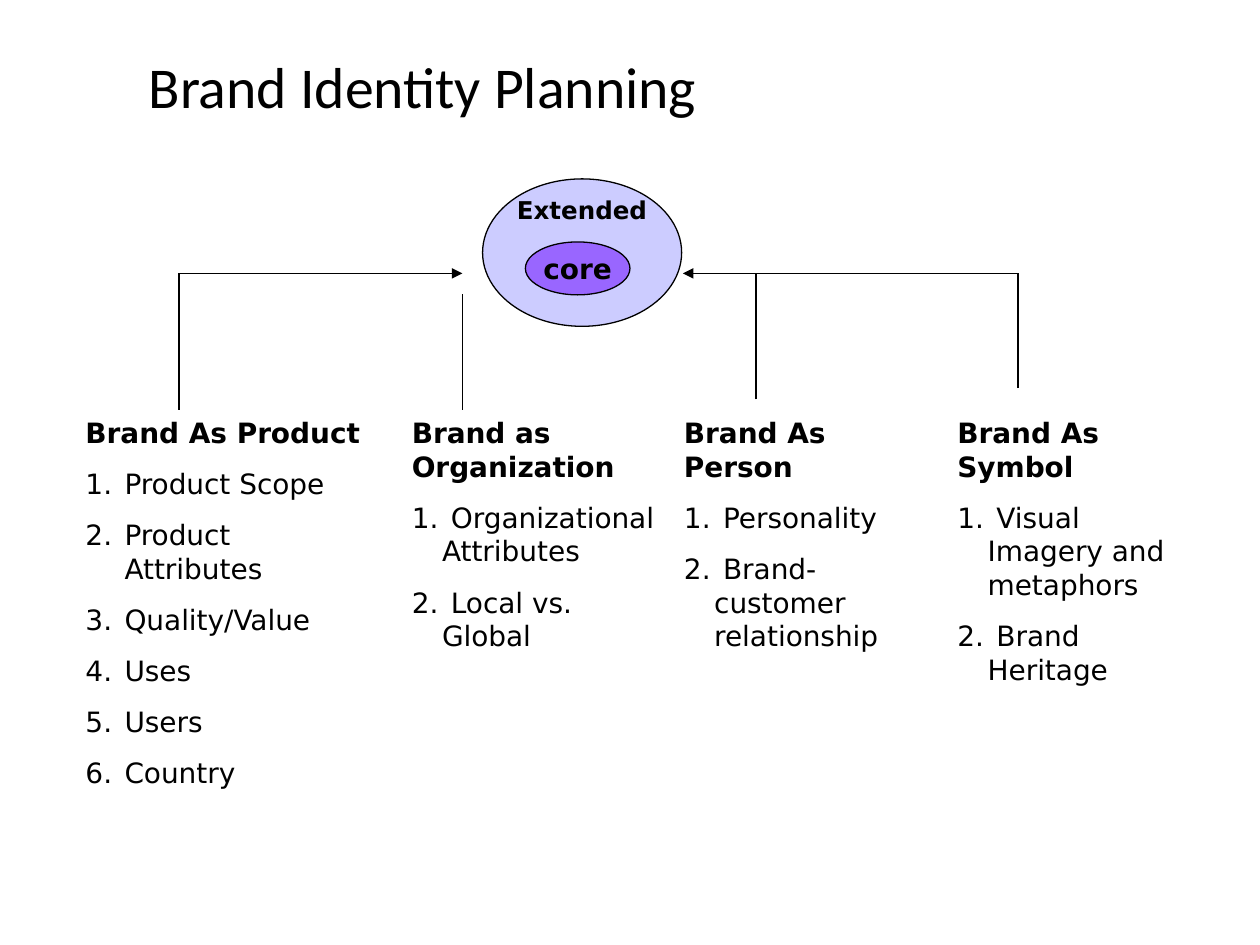
from lxml.etree import SubElement
from pptx import Presentation
from pptx.dml.color import RGBColor
from pptx.enum.shapes import MSO_CONNECTOR, MSO_SHAPE
from pptx.enum.text import MSO_ANCHOR, MSO_AUTO_SIZE, PP_ALIGN
from pptx.oxml.ns import qn
from pptx.util import Inches, Pt

BLACK = RGBColor(0x00, 0x00, 0x00)
LILAC = RGBColor(0xCC, 0xCC, 0xFF)
PURPLE = RGBColor(0x99, 0x66, 0xFF)

TOP = 3.25
BAR = 2.17
# left, width, height, hanging indent, heading, items
COLUMNS = [
    (0.58, 2.42, 3.07, 0.31, "Brand As Product",
     ["Product Scope", "Product Attributes", "Quality/Value",
      "Uses", "Users", "Country"]),
    (3.17, 2.17, 1.71, 0.24, "Brand as Organization",
     [" Organizational Attributes", " Local vs. Global"]),
    (5.33, 1.92, 1.98, 0.24, "Brand As Person",
     [" Personality", " Brand-customer relationship"]),
    (7.5, 1.92, 2.25, 0.24, "Brand As Symbol",
     [" Visual Imagery and metaphors", " Brand Heritage"]),
]
# start, end, arrow at the end
LINES = [
    ((8.08, 3.08), (8.08, BAR), False),
    ((8.08, BAR), (5.42, BAR), True),
    ((6, 3.17), (6, BAR), False),
    ((1.42, TOP), (1.42, BAR), False),
    ((1.42, BAR), (3.67, BAR), True),
    ((3.67, TOP), (3.67, 2.33), False),
]


def write(para, text, size=16, font="DejaVu Sans", bold=False,
          align=PP_ALIGN.LEFT, before=0, spacing=None):
    para.alignment = align
    para.space_before = Pt(before)
    if spacing:
        para.line_spacing = spacing
    run = para.add_run()
    run.text = text
    run.font.size = Pt(size)
    run.font.name = font
    run.font.bold = bold
    run.font.color.rgb = BLACK


def number(para, hang):
    """Turn the paragraph into an auto-numbered item with a hanging indent."""
    props = para._p.get_or_add_pPr()
    props.set("marL", str(Inches(hang)))
    props.set("indent", str(-Inches(hang)))
    SubElement(props, qn("a:buFont"), typeface="+mj-lt")
    SubElement(props, qn("a:buAutoNum"), type="arabicPeriod")


class Deck:
    def __init__(self, slide, stroke=0.75):
        self.slide = slide
        self.stroke = Pt(stroke)

    def title(self, box, text):
        shape = self.slide.shapes.title
        shape.left, shape.top, shape.width, shape.height = map(Inches, box)
        frame = shape.text_frame
        frame.vertical_anchor = MSO_ANCHOR.MIDDLE
        write(frame.paragraphs[0], text, size=33, font="Calibri", spacing=0.9)

    def oval(self, box, fill, text, size, anchor=MSO_ANCHOR.MIDDLE, inset=0.05):
        shape = self.slide.shapes.add_shape(MSO_SHAPE.OVAL, *map(Inches, box))
        shape.shadow.inherit = False
        shape.fill.solid()
        shape.fill.fore_color.rgb = fill
        shape.line.color.rgb = BLACK
        shape.line.width = self.stroke
        frame = shape.text_frame
        frame.word_wrap = False
        frame.vertical_anchor = anchor
        frame.margin_top = Inches(inset)
        write(frame.paragraphs[0], text, size=size, bold=True,
              align=PP_ALIGN.CENTER)

    def column(self, left, width, height, hang, head, items):
        box = self.slide.shapes.add_textbox(
            *map(Inches, (left, TOP, width, height)))
        frame = box.text_frame
        frame.word_wrap = True
        frame.auto_size = MSO_AUTO_SIZE.SHAPE_TO_FIT_TEXT
        write(frame.paragraphs[0], head, bold=True, before=10)
        for item in items:
            para = frame.add_paragraph()
            write(para, item, before=10)
            number(para, hang)

    def line(self, start, end, arrow):
        link = self.slide.shapes.add_connector(
            MSO_CONNECTOR.STRAIGHT, *map(Inches, start + end))
        link.line.color.rgb = BLACK
        link.line.width = self.stroke
        if arrow:
            SubElement(link.line._get_or_add_ln(), qn("a:tailEnd"),
                       type="triangle")
        SubElement(link._element.spPr, qn("a:effectLst"))


def main():
    show = Presentation()
    show.slide_width, show.slide_height = Inches(10), Inches(7.5)
    deck = Deck(show.slides.add_slide(show.slide_layouts[5]))
    deck.title((1.08, 0.25, 8.17, 0.92), "Brand Identity Planning")
    # The label sits slightly above the oval's text area
    deck.oval((3.83, 1.42, 1.58, 1.17), LILAC, "Extended", 14,
              anchor=MSO_ANCHOR.TOP, inset=-0.04)
    deck.oval((4.17, 1.92, 0.83, 0.42), PURPLE, "core", 16)
    for column in COLUMNS:
        deck.column(*column)
    for line in LINES:
        deck.line(*line)
    show.save("out.pptx")


if __name__ == "__main__":
    main()
